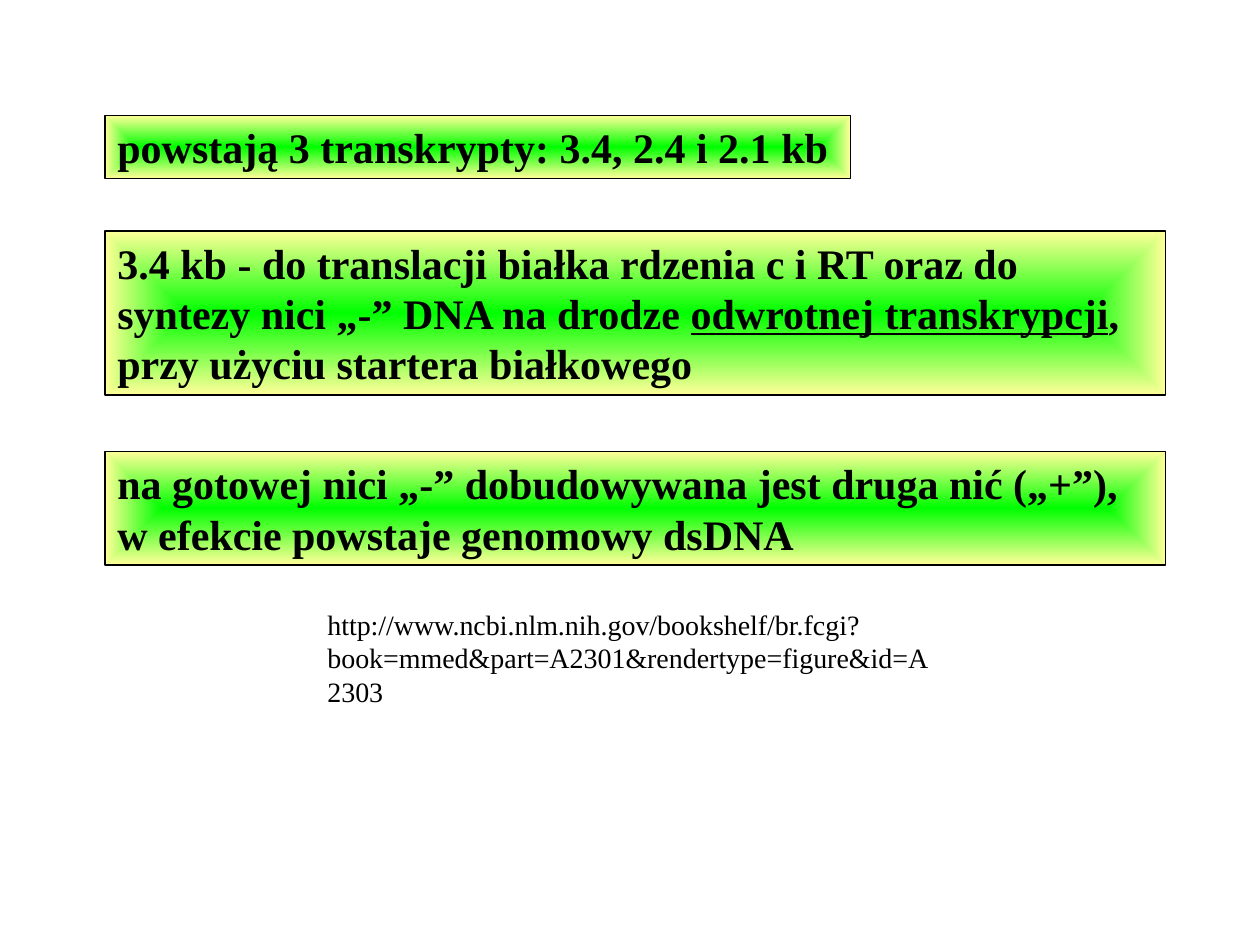
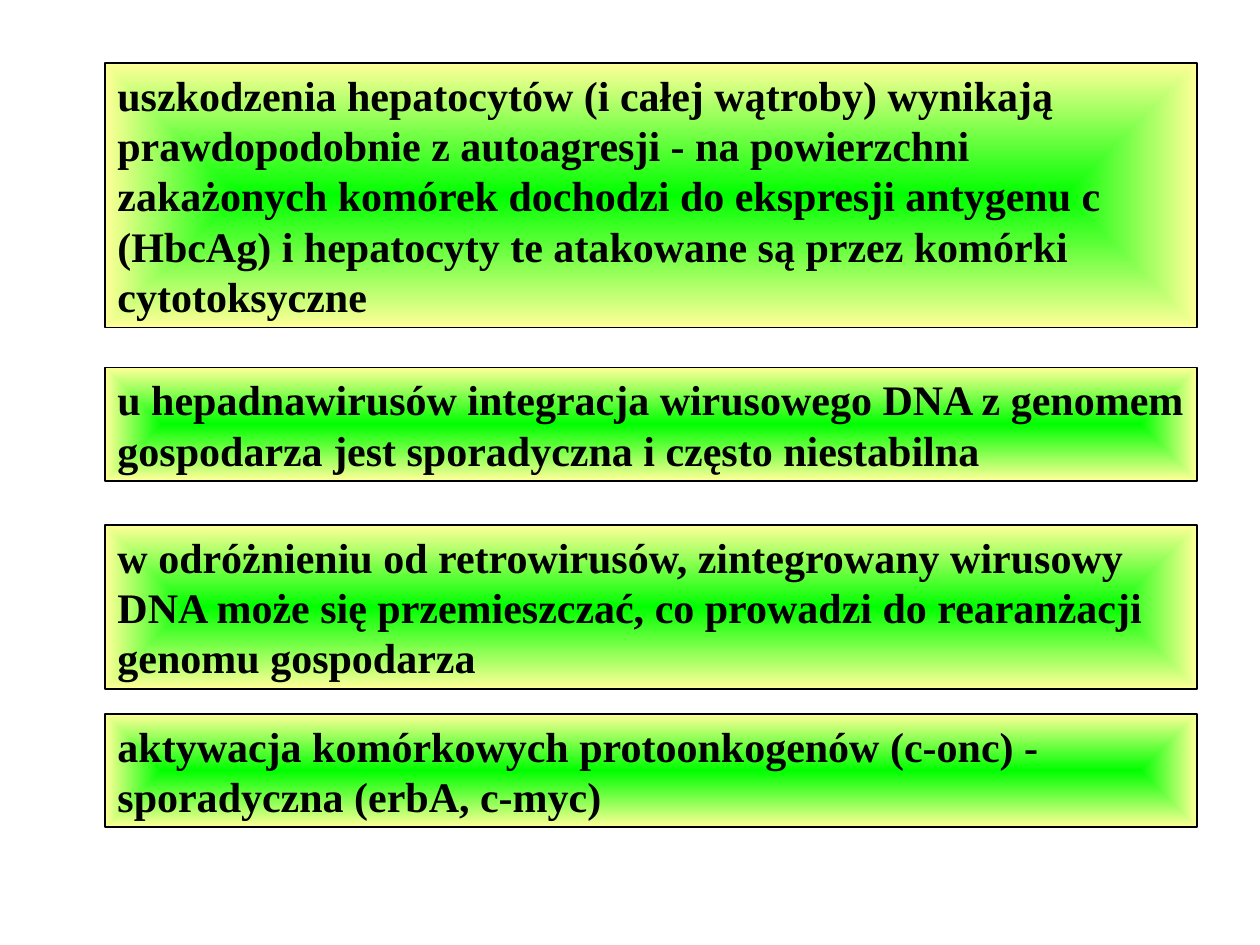
from dataclasses import dataclass

from lxml import etree
from pptx import Presentation
from pptx import util as u
from pptx.dml.color import RGBColor
from pptx.enum import shapes, text
from pptx.oxml.ns import qn

SLIDES = [
    {
        "columns": 101,
        "statements": [
            {"row": 11, "lines": 1, "columns": 71,
             "runs": [("powstają 3 transkrypty: 3.4, 2.4 i 2.1 kb", False)]},
            {"row": 22, "lines": 3,
             "runs": [("3.4 kb - do translacji białka rdzenia c i RT oraz do "
                       "syntezy nici „-” DNA na drodze ", False),
                      ("odwrotnej transkrypcji", True),
                      (", przy użyciu startera białkowego", False)]},
            {"row": 43, "lines": 2,
             "runs": [("na gotowej nici „-” dobudowywana jest druga nić („+”), "
                       "w efekcie powstaje genomowy dsDNA", False)]},
        ],
        "source": "http://www.ncbi.nlm.nih.gov/bookshelf/br.fcgi?"
                  "book=mmed&part=A2301&rendertype=figure&id=A2303",
    },
    {
        "columns": 104,
        "statements": [
            {"row": 6, "lines": 5,
             "runs": [("uszkodzenia hepatocytów (i całej wątroby) wynikają "
                       "prawdopodobnie z autoagresji - na powierzchni zakażonych "
                       "komórek dochodzi do ekspresji antygenu c (HbcAg) i "
                       "hepatocyty te atakowane są przez komórki cytotoksyczne",
                       False)]},
            {"row": 35, "lines": 2,
             "runs": [("u hepadnawirusów integracja wirusowego DNA z genomem "
                       "gospodarza jest sporadyczna i często niestabilna", False)]},
            {"row": 50, "lines": 3,
             "runs": [("w odróżnieniu od retrowirusów, zintegrowany wirusowy DNA "
                       "może się przemieszczać, co prowadzi do rearanżacji genomu "
                       "gospodarza", False)]},
            {"row": 68, "lines": 2,
             "runs": [("aktywacja komórkowych protoonkogenów (c-onc) - "
                       "sporadyczna (erbA, c-myc)", False)]},
        ],
    },
]


@dataclass(frozen=True)
class Theme:
    font: str = "Times New Roman"
    ink: RGBColor = RGBColor.from_string("000000")
    centre: RGBColor = RGBColor.from_string("00FF00")
    edge: RGBColor = RGBColor.from_string("FFFF99")
    statement_size: int = 24
    source_size: int = 16
    border: int = 1


THEME = Theme()
WIDTH, HEIGHT = u.Inches(10), u.Inches(7.5)
COLUMNS, ROWS = 120, 90
LEFT_COLUMN = 10
LINE_HEIGHT, PADDING = 0.4, 0.1
SOURCE_COLUMN, SOURCE_ROW, SOURCE_COLUMNS, SOURCE_ROWS = 30, 57.25, 60, 14


def across(columns):
    return round(WIDTH * columns / COLUMNS)


def down(rows):
    return round(HEIGHT * rows / ROWS)


def write(box, runs, size, bold):
    frame = box.text_frame
    frame.word_wrap = True
    frame.auto_size = text.MSO_AUTO_SIZE.SHAPE_TO_FIT_TEXT
    frame.vertical_anchor = text.MSO_ANCHOR.TOP
    para = frame.paragraphs[0]
    para.alignment = text.PP_ALIGN.LEFT
    for words, underlined in runs:
        span = para.add_run()
        span.text = words
        font = span.font
        font.name, font.size, font.bold = THEME.font, u.Pt(size), bold
        font.underline = underlined
        font.color.rgb = THEME.ink


def fill_from_centre(box):
    box.fill.gradient()
    for stop, colour in zip(box.fill.gradient_stops, (THEME.centre, THEME.edge)):
        stop.color.rgb = colour
    gradient = box._element.spPr.find(qn("a:gradFill"))
    linear = gradient.find(qn("a:lin"))
    spread = etree.Element(qn("a:path"), {"path": "rect"})
    middle = dict.fromkeys("ltrb", "50000")
    etree.SubElement(spread, qn("a:fillToRect"), middle)
    gradient.replace(linear, spread)


def add_statement(page, statement, columns):
    height = u.Inches(PADDING + LINE_HEIGHT * statement["lines"])
    box = page.shapes.add_shape(
        shapes.MSO_SHAPE.RECTANGLE, across(LEFT_COLUMN), down(statement["row"]),
        across(statement.get("columns", columns)), height)
    box.shadow.inherit = False
    fill_from_centre(box)
    box.line.color.rgb = THEME.ink
    box.line.width = u.Pt(THEME.border)
    write(box, statement["runs"], THEME.statement_size, True)


def add_source(page, address):
    box = page.shapes.add_textbox(across(SOURCE_COLUMN), down(SOURCE_ROW),
                                  across(SOURCE_COLUMNS), down(SOURCE_ROWS))
    write(box, [(address, False)], THEME.source_size, False)


def main():
    deck = Presentation()
    deck.slide_width, deck.slide_height = WIDTH, HEIGHT
    for content in SLIDES:
        page = deck.slides.add_slide(deck.slide_layouts[6])
        for statement in content["statements"]:
            add_statement(page, statement, content["columns"])
        if "source" in content:
            add_source(page, content["source"])
    deck.save("out.pptx")


if __name__ == "__main__":
    main()
